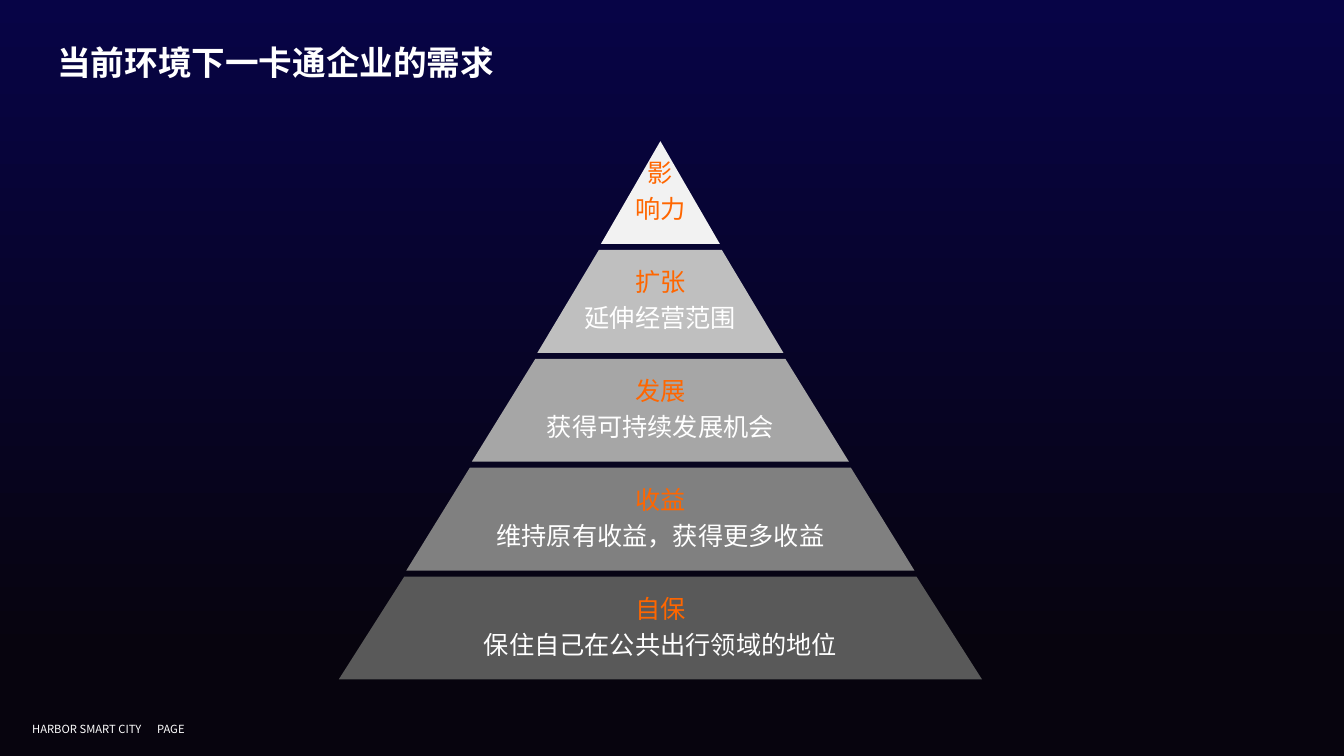
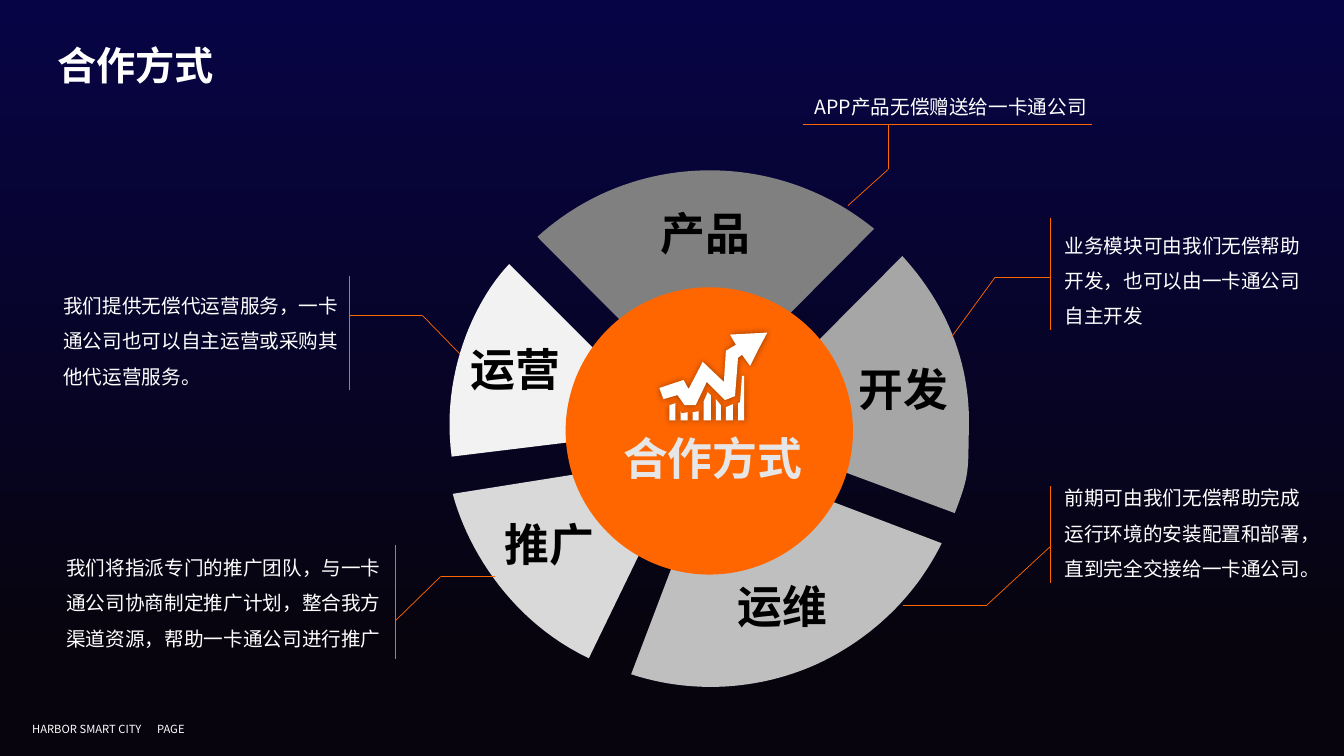
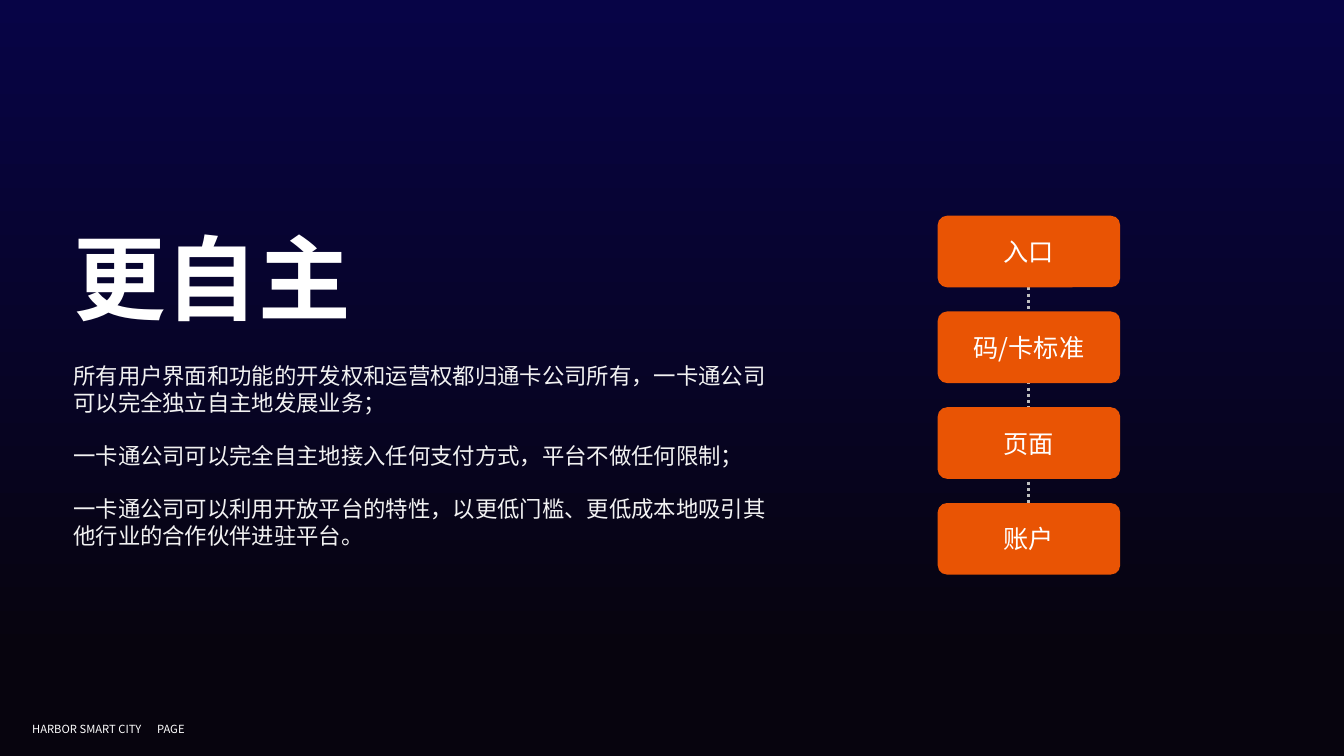
from dataclasses import dataclass
from itertools import pairwise

from lxml import etree
from pptx import Presentation
from pptx import util as u
from pptx.dml.color import RGBColor
from pptx.enum import shapes, text
from pptx.oxml.ns import qn

CENTER = text.PP_ALIGN.CENTER
LEFT = text.PP_ALIGN.LEFT


@dataclass(frozen=True)
class Theme:
    font: str = "Noto Sans CJK SC"
    # Colours
    night: str = "070446"
    dark: str = "07040E"
    white: str = "FFFFFF"
    black: str = "000000"
    soft: str = "F2F2F2"
    hub_text: str = "E7E6E6"
    orange: str = "FF6600"
    button: str = "E95404"
    dots: str = "BFBFBF"
    grays: tuple = ("F2F2F2", "BFBFBF", "A6A6A6", "808080", "595959")
    # Type sizes
    footer: int = 8
    callout: int = 14
    body: int = 16
    label: int = 18
    title: int = 24
    title_large: int = 28
    sector: int = 32
    hero: int = 66


THEME = Theme()


# Shared helpers
def rgb(value):
    return RGBColor.from_string(value)


def write(frame, lines, size, colors, align=LEFT, bold=False,
          spacing=None, before=0, after=None):
    """Fill a text frame; colors is one colour or one per line."""
    if isinstance(colors, str):
        colors = [colors] * len(lines)
    for index, (line, color) in enumerate(zip(lines, colors)):
        para = frame.add_paragraph() if index else frame.paragraphs[0]
        para.text = line
        para.alignment = align
        if spacing:
            para.line_spacing = spacing
        if index and before:
            para.space_before = u.Pt(before)
        if after:
            para.space_after = u.Pt(after)
        font = para.font
        font.name, font.size, font.bold = THEME.font, u.Pt(size), bold
        font.color.rgb = rgb(color)
        # East Asian typeface
        properties = para._p.pPr.find(qn("a:defRPr"))
        etree.SubElement(properties, qn("a:ea"), typeface=THEME.font)


def add_text(page, area, lines, size, colors=THEME.white, wrap=True, **style):
    box = page.shapes.add_textbox(*map(u.Inches, area))
    box.text_frame.word_wrap = wrap
    box.text_frame.auto_size = text.MSO_AUTO_SIZE.SHAPE_TO_FIT_TEXT
    write(box.text_frame, lines, size, colors, **style)
    return box


def paint(shape, color):
    shape.shadow.inherit = False
    shape.fill.solid()
    shape.fill.fore_color.rgb = rgb(color)
    shape.line.fill.background()


def add_shape(page, kind, area, color):
    shape = page.shapes.add_shape(kind, *map(u.Inches, area))
    paint(shape, color)
    return shape


def add_outline(page, contours, color):
    """Draw closed contours, given in inches, as one freeform."""
    contours = [[(u.Inches(x), u.Inches(y)) for x, y in points]
                for points in contours]
    builder = page.shapes.build_freeform(*contours[0][0], scale=1.0)
    for index, points in enumerate(contours):
        if index:
            builder.move_to(*points[0])
        builder.add_line_segments(points[1:], close=True)
    shape = builder.convert_to_shape()
    paint(shape, color)
    return shape


def add_line(page, start, end, color, width):
    line = page.shapes.add_connector(
        shapes.MSO_CONNECTOR.STRAIGHT, *map(u.Inches, (*start, *end)))
    line.line.color.rgb = rgb(color)
    line.line.width = u.Pt(width)
    etree.SubElement(line._element.spPr, qn("a:effectLst"))
    return line


def add_soft_shadow(shape):
    effects = shape._element.spPr.find(qn("a:effectLst"))
    shadow = etree.SubElement(effects, qn("a:outerShdw"),
                              blurRad=str(u.Pt(5)), dist="0")
    color = etree.SubElement(shadow, qn("a:srgbClr"), val=THEME.black)
    etree.SubElement(color, qn("a:alpha"), val="40000")


def set_background(deck):
    fill = deck.slide_master.background.fill
    fill.gradient()
    fill.gradient_angle = 270
    stops = zip(fill.gradient_stops, ((0, THEME.night), (0.87, THEME.dark)))
    for stop, (position, color) in stops:
        stop.position = position
        stop.color.rgb = rgb(color)


def add_page(deck):
    page = deck.slides.add_slide(deck.slide_layouts[6])
    for left, width, label in ((0.22, 1.35, "HARBOR SMART CITY"),
                               (1.46, 0.54, "PAGE")):
        add_text(page, (left, 7.12, width, 0.24), [label], THEME.footer,
                 wrap=False)
    return page


def add_title(page, title, size):
    add_text(page, (0.47, 0.41, 5.33, 0.64), [title], size, bold=True,
             spacing=0.9)


# Slide 1: pyramid of needs
def add_pyramid(page):
    center, top, height, pitch, flare = 6.55, 1.4, 1.02, 1.08, 0.02
    levels = (
        (0.59, "影", "响力"),
        (1.22, "扩张", "延伸经营范围"),
        (1.87, "发展", "获得可持续发展机会"),
        (2.52, "收益", "维持原有收益，获得更多收益"),
        (3.19, "自保", "保住自己在公共出行领域的地位"),
    )
    upper = 0
    for index, (lower, *lines) in enumerate(levels):
        y = top + index * pitch
        band = add_outline(page, [[
            (center - lower, y + height), (center - upper, y),
            (center + upper, y), (center + lower, y + height),
        ]], THEME.grays[index])
        frame = band.text_frame
        frame.word_wrap = True
        frame.vertical_anchor = text.MSO_ANCHOR.MIDDLE
        frame.margin_left = frame.margin_right = u.Inches(0.03)
        frame.margin_top = frame.margin_bottom = u.Inches(0.03)
        second = THEME.white if index else THEME.orange
        write(frame, lines, THEME.label, (THEME.orange, second),
              align=CENTER, spacing=0.9, after=6.3)
        upper = lower + flare


# Slide 2: wheel of cooperation
def trace(steps, samples=24):
    """Turn points and cubic curves (three points) into a list of points."""
    points = []
    for step in steps:
        if len(step) == 2:
            points.append(step)
            continue
        controls = (points[-1], *step)
        for t in (n / samples for n in range(1, samples + 1)):
            weights = ((1 - t) ** 3, 3 * t * (1 - t) ** 2,
                       3 * t * t * (1 - t), t ** 3)
            points.append(tuple(
                sum(w * point[axis] for w, point in zip(weights, controls))
                for axis in (0, 1)))
    return points


SECTORS = (
    # name, label position, colour, outline
    ("产品", (6.45, 1.99), "808080",
     ((6.96, 3.99), (8.67, 2.27),
      ((8.23, 1.91), (7.66, 1.69), (7.04, 1.69)),
      ((6.38, 1.69), (5.78, 1.94), (5.33, 2.35)))),
    ("开发", (8.41, 3.54), "A6A6A6",
     ((7.24, 4.26), (9.47, 5.09),
      ((9.62, 4.7), (9.6, 4.68), (9.61, 4.26)),
      ((9.63, 3.56), (9.36, 2.99), (8.95, 2.54)))),
    ("运维", (7.21, 5.69), "BFBFBF",
     ((7.08, 4.53), (6.26, 6.69),
      ((6.84, 6.88), (7.5, 6.86), (8.1, 6.59)),
      ((8.66, 6.33), (9.09, 5.9), (9.34, 5.39)))),
    ("运营", (4.56, 3.34), "F2F2F2",
     ((6.69, 4.26), (5.05, 2.62),
      ((4.7, 2.99), (4.37, 3.72), (4.48, 4.53)))),
    ("推广", (4.9, 5.08), "D9D9D9",
     ((6.81, 4.53), (4.49, 4.9),
      ((4.65, 5.49), (5.1, 6.18), (5.84, 6.53)))),
)

CALLOUTS = (
    # text, area, alignment, line spacing, rail, leader
    ("APP产品无偿赠送给一卡通公司", (7.96, 0.89, 2.94, 0.34), CENTER, 1,
     ((7.96, 1.23), (10.83, 1.23)),
     ((8.81, 1.23), (8.81, 1.68), (8.41, 2.04))),
    ("业务模块可由我们无偿帮助开发，也可以由一卡通公司自主开发",
     (10.46, 2.15, 2.69, 1.12), LEFT, 1.5,
     ((10.42, 2.16), (10.42, 3.27)),
     ((10.42, 2.75), (9.87, 2.75), (9.44, 3.34))),
    ("前期可由我们无偿帮助完成运行环境的安装配置和部署，直到完全交接给一卡通公司。",
     (10.46, 4.66, 2.69, 1.16), LEFT, 1.5,
     ((10.42, 4.82), (10.42, 5.78)),
     ((10.42, 5.42), (9.78, 6.01), (8.96, 6.01))),
    ("我们提供无偿代运营服务，一卡通公司也可以自主运营或采购其他代运营服务。",
     (0.53, 2.75, 3.1, 1.12), LEFT, 1.5,
     ((3.47, 2.74), (3.47, 3.87)),
     ((3.47, 3.13), (4.19, 3.13), (4.56, 3.51))),
    ("我们将指派专门的推广团队，与一卡通公司协商制定推广计划，整合我方渠道资源，"
     "帮助一卡通公司进行推广",
     (0.56, 5.35, 3.35, 1.16), LEFT, 1.5,
     ((3.92, 5.41), (3.92, 6.54)),
     ((3.92, 6.16), (4.37, 5.72), (4.91, 5.72))),
)

GROWTH_ARROW = (
    (7.61, 3.3), (7.52, 3.47), (7.44, 3.63), (7.36, 3.52), (7.32, 3.55),
    (7.29, 3.93), (7.19, 3.97), (7.01, 3.79), (6.9, 4.02), (6.79, 4.02),
    (6.72, 3.92), (6.58, 3.96), (6.54, 3.85), (6.78, 3.77), (6.83, 3.86),
    (6.97, 3.59), (7.18, 3.79), (7.2, 3.48), (7.3, 3.42), (7.24, 3.32),
)

GROWTH_BARS = (
    # tops of the bars, from left to right
    ((6.64, 4.02), (6.7, 4)),
    ((6.75, 4.08), (6.76, 4.1), (6.82, 4.09)),
    ((6.87, 4.09), (6.93, 4.08)),
    ((6.98, 3.98), (7.02, 3.89), (7.05, 3.92)),
    ((7.1, 3.96), (7.15, 4.02)),
    ((7.2, 4.04), (7.27, 4.01)),
    ((7.32, 4), (7.34, 3.99), (7.36, 3.73), (7.38, 3.73)),
)


def add_sector(page, name, position, color, outline):
    add_outline(page, [trace(outline)], color)
    add_text(page, (*position, 1.1, 0.64), [name], THEME.sector, THEME.black,
             wrap=False, align=CENTER, bold=True)


def add_callout(page, words, area, align, spacing, rail, leader):
    add_text(page, area, [words], THEME.callout, align=align, spacing=spacing)
    for start, end in (rail, *pairwise(leader)):
        add_line(page, start, end, THEME.orange, 0.5)


def add_hub(page):
    add_shape(page, shapes.MSO_SHAPE.OVAL, (5.61, 2.85, 2.85, 2.85),
              THEME.orange)
    add_text(page, (6.07, 4.22, 2, 0.64), ["合作方式"], THEME.sector,
             THEME.hub_text, wrap=False, align=CENTER, bold=True)
    base = 4.17
    bars = [((tops[0][0], base), *tops, (tops[-1][0], base))
            for tops in GROWTH_BARS]
    icon = add_outline(page, [GROWTH_ARROW, *bars], THEME.white)
    add_soft_shadow(icon)


# Slide 3: stack of platform layers
def add_stack(page, names):
    left, top, width, height, pitch = 9.3, 2.14, 1.81, 0.71, 0.95
    middle = left + width / 2
    # The dotted line comes first so that it lies behind the boxes
    spine = add_line(page, (middle, top + height),
                     (middle, top + (len(names) - 1) * pitch),
                     THEME.dots, 2.25)
    spine.line.dash_style = 3  # system dots
    boxes = []
    for index, name in enumerate(names):
        box = add_shape(page, shapes.MSO_SHAPE.ROUNDED_RECTANGLE,
                        (left, top + index * pitch, width, height),
                        THEME.button)
        box.adjustments[0] = 0.13
        box.text_frame.vertical_anchor = text.MSO_ANCHOR.MIDDLE
        write(box.text_frame, [name], THEME.label, THEME.white, align=CENTER)
        boxes.append(box)
    spine.begin_connect(boxes[0], 2)
    spine.end_connect(boxes[-1], 0)


def main():
    deck = Presentation()
    deck.slide_width, deck.slide_height = u.Inches(13.33), u.Inches(7.5)
    set_background(deck)

    page = add_page(deck)
    add_pyramid(page)
    add_title(page, "当前环境下一卡通企业的需求", THEME.title)

    page = add_page(deck)
    add_title(page, "合作方式", THEME.title_large)
    for sector in SECTORS:
        add_sector(page, *sector)
    for callout in CALLOUTS:
        add_callout(page, *callout)
    add_hub(page)

    page = add_page(deck)
    add_stack(page, ("入口", "码/卡标准", "页面", "账户"))
    add_text(page, (0.63, 2.14, 2.98, 1.21), ["更自主"], THEME.hero,
             wrap=False, bold=True)
    add_text(page, (0.63, 3.54, 7.24, 1.99), [
        "所有用户界面和功能的开发权和运营权都归通卡公司所有，一卡通公司可以完全独立自主地发展业务；",
        "一卡通公司可以完全自主地接入任何支付方式，平台不做任何限制；",
        "一卡通公司可以利用开放平台的特性，以更低门槛、更低成本地吸引其他行业的合作伙伴进驻平台。",
    ], THEME.body, THEME.soft, before=19)

    deck.save("out.pptx")


if __name__ == "__main__":
    main()
